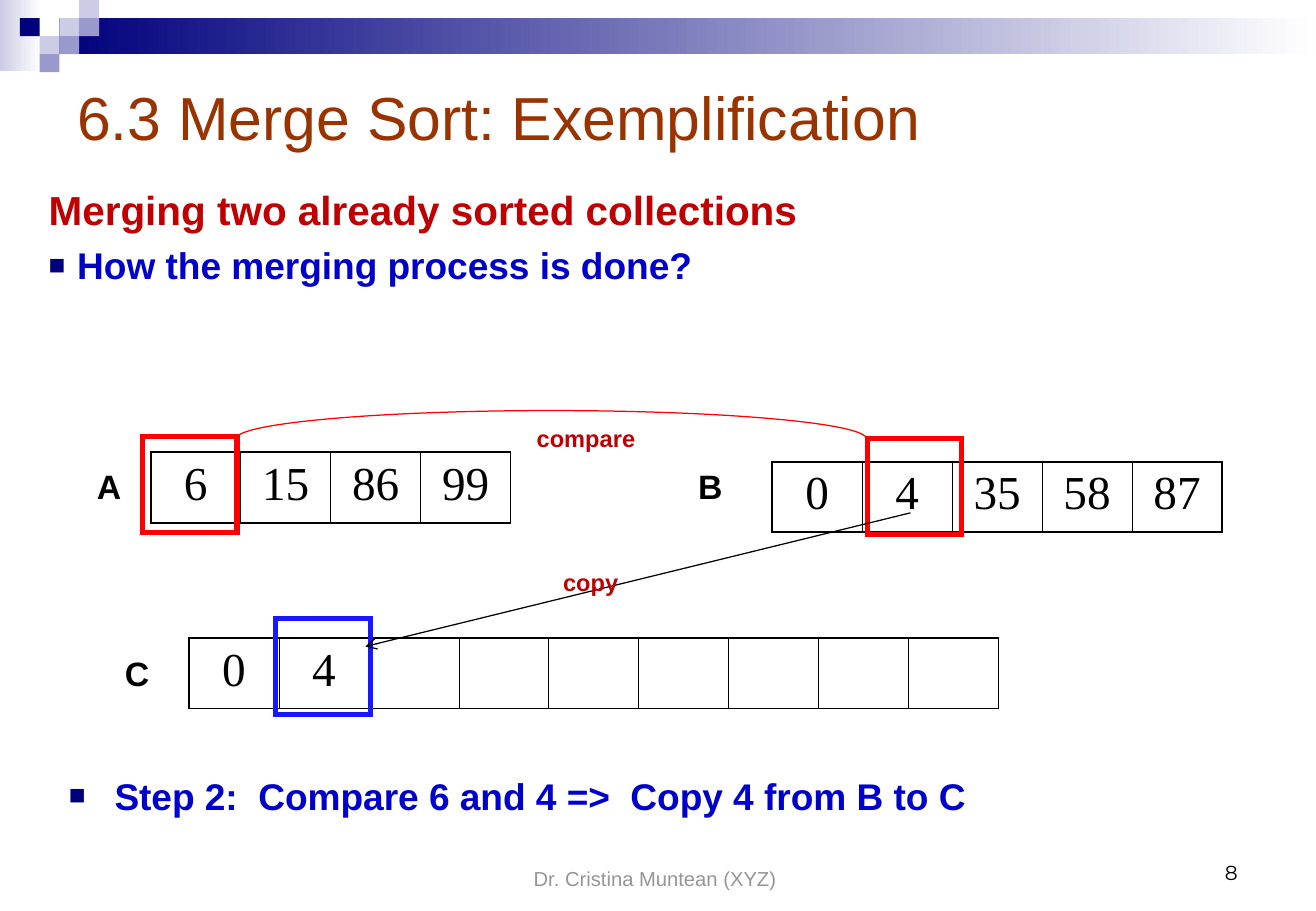
"""Build the merge sort slide that compares 6 with 4 and copies 4 to C."""
from typing import NamedTuple

from lxml import etree
from pptx import Presentation
from pptx.dml.color import RGBColor
from pptx.enum import shapes, text
from pptx.oxml import ns
from pptx.util import Pt

NAVY = RGBColor(0x00, 0x00, 0x7D)
LILAC = RGBColor(0xCC, 0xCC, 0xE6)
MAUVE = RGBColor(0x99, 0x99, 0xCC)
WHITE = RGBColor(0xFF, 0xFF, 0xFF)
BLACK = RGBColor(0x00, 0x00, 0x00)
GREY = RGBColor(0x96, 0x96, 0x96)
BROWN = RGBColor(0x99, 0x33, 0x00)
CRIMSON = RGBColor(0xC0, 0x00, 0x00)
RED = RGBColor(0xFF, 0x00, 0x00)
BLUE = RGBColor(0x00, 0x00, 0xCC)
BRIGHT = RGBColor(0x18, 0x18, 0xFF)

TILE_W, TILE_H = 11.75, 10.7
CELL_W, CELL_H = 53.35, 41.8
MARK_W, MARK_H = 56.2, 56.9
THICK, THIN = 1.08, 0.45
LEFT, MID, RIGHT = text.PP_ALIGN.LEFT, text.PP_ALIGN.CENTER, text.PP_ALIGN.RIGHT
TOP, LOW = text.MSO_ANCHOR.TOP, text.MSO_ANCHOR.BOTTOM


class Box(NamedTuple):
    x: float
    y: float
    w: float
    h: float


class Tile(NamedTuple):
    col: int
    row: int
    color: RGBColor


class Array(NamedTuple):
    x: float
    y: float
    items: list[str]


class Mark(NamedTuple):
    x: float
    y: float
    color: RGBColor


class Note(NamedTuple):
    words: str
    box: Box
    size: float
    color: RGBColor
    bold: bool = True
    align: text.PP_ALIGN = LEFT
    anchor: text.MSO_ANCHOR = TOP
    face: str = "Arial"


class Item(NamedTuple):
    words: str
    size: float
    color: RGBColor
    space: float
    indent: float


TILES = [
    Tile(3, 1, LILAC), Tile(4, 0, LILAC), Tile(4, 1, MAUVE), Tile(2, 2, LILAC),
    Tile(1, 1, NAVY), Tile(3, 2, MAUVE), Tile(2, 3, MAUVE),
]
ARRAYS = [
    Array(112.1, 378.1, ["0", "4"] + [""] * 7),
    Array(89.4, 268.1, ["6", "15", "86", "99"]),
    Array(458, 273.7, ["0", "4", "35", "58", "87"]),
]
MARKS = [Mark(84.4, 258.8, RED), Mark(514.3, 260.2, RED), Mark(163.3, 366.8, BRIGHT)]
NOTES = [
    Note("A", Box(50.4, 272.5, 33, 31.7), 20, BLACK),
    Note("B", Box(407, 272.5, 33, 31.7), 20, BLACK),
    Note("C", Box(67, 383.3, 33, 31.7), 20, BLACK),
    Note("compare", Box(311.2, 248, 110, 24.5), 14, CRIMSON),
    Note("copy", Box(326.9, 332.9, 54.7, 24.5), 14, CRIMSON),
    Note("Dr. Cristina Muntean (XYZ)", Box(265, 495.5, 247, 36), 12, GREY,
         False, MID, LOW),
    Note("8", Box(559, 492, 182.2, 36), 12, BLACK, False, RIGHT, LOW, "Montserrat"),
]
TOPICS = [
    Item("Merging two already sorted collections", 24, CRIMSON, 6, 0),
    Item("How the merging process is done?", 22, BLUE, 5.5, 17),
]
STEPS = [Item("Step 2:  Compare 6 and 4 =>  Copy 4 from B to C", 22, BLUE, 5.5, 27)]


def style(para, size: float, color: RGBColor, bold: bool, face: str = "Arial") -> None:
    font = para.font
    font.size, font.bold, font.name = Pt(size), bold, face
    font.color.rgb = color


def place(shape, box: Box) -> None:
    shape.left, shape.top, shape.width, shape.height = map(Pt, box)


def block(slide, kind: shapes.MSO_SHAPE, box: Box):
    shape = slide.shapes.add_shape(kind, *map(Pt, box))
    shape.shadow.inherit = False
    shape.fill.background()
    shape.line.fill.background()
    return shape


def fade(slide, box: Box, color: RGBColor) -> None:
    fill = block(slide, shapes.MSO_SHAPE.RECTANGLE, box).fill
    fill.gradient()
    fill.gradient_angle = 0
    for stop, tint in zip(fill.gradient_stops, (color, WHITE)):
        stop.color.rgb = tint


def stroke(shape, color: RGBColor, width: float) -> None:
    shape.line.color.rgb = color
    shape.line.width = Pt(width)
    etree.SubElement(shape.line._get_or_add_ln(), ns.qn("a:miter"), lim="800000")


def bullet(para, indent: float) -> None:
    props = para._p.get_or_add_pPr()
    props.set("marL", str(Pt(indent)))
    props.set("indent", str(-Pt(indent)))
    if not indent:
        etree.SubElement(props, ns.qn("a:buNone"))
        return
    tint = etree.SubElement(props, ns.qn("a:buClr"))
    etree.SubElement(tint, ns.qn("a:srgbClr"), val=str(NAVY))
    etree.SubElement(props, ns.qn("a:buSzPct"), val="75000")
    etree.SubElement(props, ns.qn("a:buFont"), typeface="Arial")
    etree.SubElement(props, ns.qn("a:buChar"), char="■")


def fill_list(holder, box: Box, items: list[Item]) -> None:
    place(holder, box)
    frame = holder.text_frame
    frame.text = "\n".join(item.words for item in items)
    frame.auto_size = text.MSO_AUTO_SIZE.NONE
    for para, item in zip(frame.paragraphs, items):
        para.space_before = Pt(item.space)
        bullet(para, item.indent)
        style(para, item.size, item.color, True)


def border(cell, first: bool, last: bool) -> None:
    props = cell._tc.get_or_add_tcPr()
    widths = (THICK if first else THIN, THICK if last else THIN, THICK, THICK)
    for spot, (side, width) in enumerate(zip("LRTB", widths)):
        line = etree.Element(ns.qn(f"a:ln{side}"), w=str(Pt(width)))
        solid = etree.SubElement(line, ns.qn("a:solidFill"))
        etree.SubElement(solid, ns.qn("a:srgbClr"), val=str(BLACK))
        props.insert(spot, line)


def draw_array(slide, array: Array) -> None:
    count = len(array.items)
    box = Box(array.x, array.y, CELL_W * count, CELL_H)
    table = slide.shapes.add_table(1, count, *map(Pt, box)).table
    table.first_row = table.horz_banding = False
    for spot, item in enumerate(array.items):
        cell = table.cell(0, spot)
        cell.text = item
        cell.fill.background()
        border(cell, spot == 0, spot == count - 1)
        para = cell.text_frame.paragraphs[0]
        para.alignment, para.space_before = MID, Pt(7)
        style(para, 28, BLACK, False, "Times New Roman")


def draw_note(slide, note: Note) -> None:
    frame = slide.shapes.add_textbox(*map(Pt, note.box)).text_frame
    frame.word_wrap, frame.vertical_anchor = True, note.anchor
    frame.text = note.words
    para = frame.paragraphs[0]
    para.alignment = note.align
    style(para, note.size, note.color, note.bold, note.face)


def draw_arrow(slide) -> None:
    ends = map(Pt, (540, 304, 216.7, 383.2))
    arrow = slide.shapes.add_connector(shapes.MSO_CONNECTOR.STRAIGHT, *ends)
    stroke(arrow, BLACK, 0.74)
    etree.SubElement(arrow.line._get_or_add_ln(), ns.qn("a:tailEnd"), type="arrow")
    etree.SubElement(arrow._element.spPr, ns.qn("a:effectLst"))


def main() -> None:
    deck = Presentation()
    deck.slide_width, deck.slide_height = Pt(780.48), Pt(540)
    slide = deck.slides.add_slide(deck.slide_layouts[3])
    title, topics, steps = slide.placeholders
    place(title, Box(38.5, 43.2, 702, 51.1))
    title.text_frame.text = "6.3 Merge Sort: Exemplification"
    title.text_frame.auto_size = text.MSO_AUTO_SIZE.NONE
    title.text_frame.vertical_anchor = text.MSO_ANCHOR.MIDDLE
    head = title.text_frame.paragraphs[0]
    head.alignment = LEFT
    style(head, 36, BROWN, False)
    fill_list(topics, Box(21.6, 105.9, 754.6, 113), TOPICS)
    fill_list(steps, Box(33.7, 454.6, 742.3, 42.5), STEPS)

    fade(slide, Box(0, 0, 24.5, 42), LILAC)
    fade(slide, Box(3 * TILE_W, TILE_H, 745, 2 * TILE_H), NAVY)
    for tile in TILES:
        box = Box(tile.col * TILE_W, tile.row * TILE_H, TILE_W, TILE_H)
        fill = block(slide, shapes.MSO_SHAPE.RECTANGLE, box).fill
        fill.solid()
        fill.fore_color.rgb = tile.color
    for array in ARRAYS:
        draw_array(slide, array)
    for mark in MARKS:
        box = Box(mark.x, mark.y, MARK_W, MARK_H)
        stroke(block(slide, shapes.MSO_SHAPE.RECTANGLE, box), mark.color, 3)
    draw_arrow(slide)
    arc = block(slide, shapes.MSO_SHAPE.ARC, Box(139.7, 243.4, 374.4, 33.8))
    arc.adjustments[0], arc.adjustments[1] = 108.3, 215.7
    stroke(arc, RED, 0.74)
    for note in NOTES:
        draw_note(slide, note)
    deck.save("out.pptx")


main()
